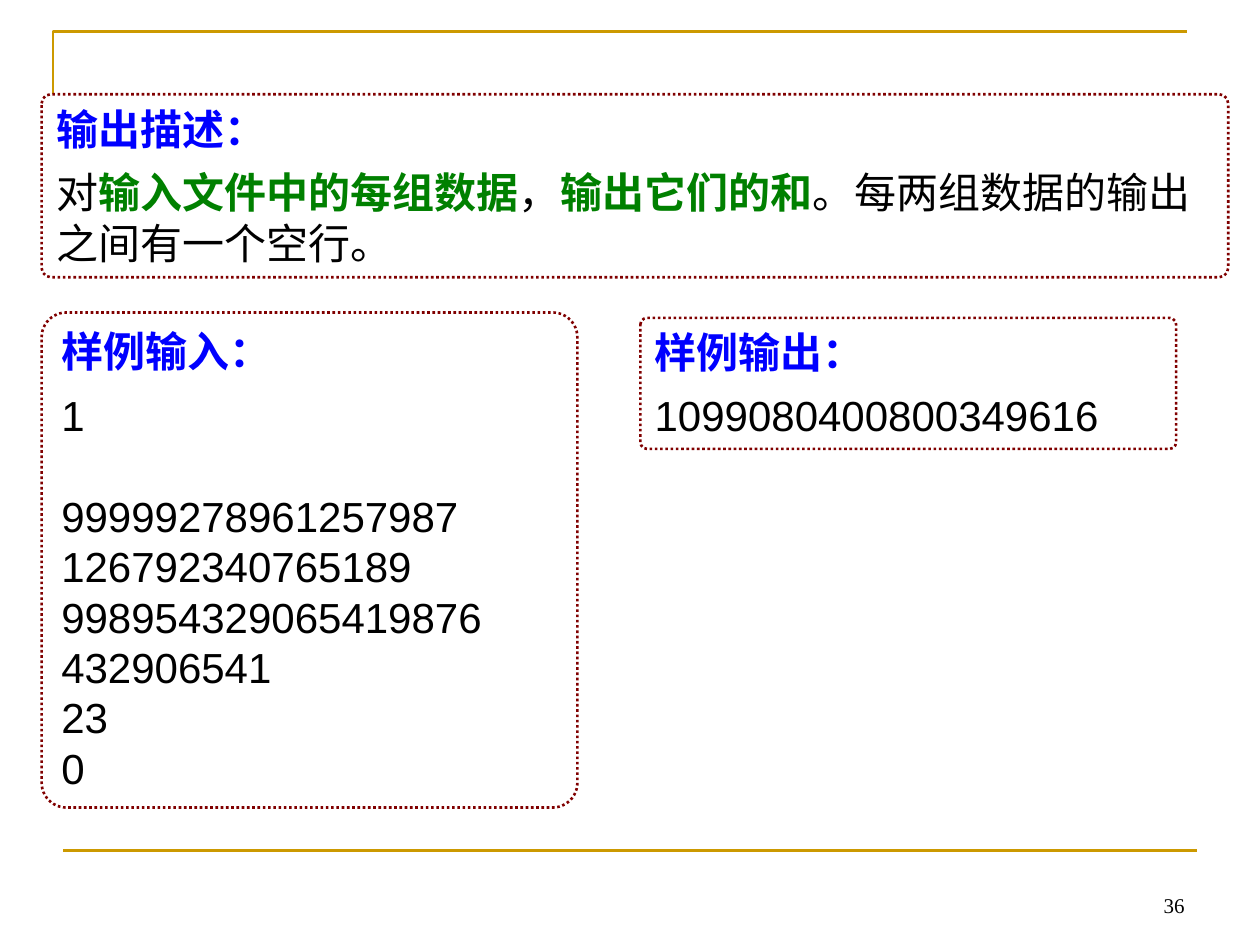
"""Builds a slide with the output description and samples of an addition task."""
from dataclasses import dataclass

from lxml.etree import SubElement
from pptx import Presentation
from pptx.dml.color import RGBColor
from pptx.enum.dml import MSO_LINE_DASH_STYLE as Dash
from pptx.enum.shapes import MSO_CONNECTOR as Connector, MSO_SHAPE as Shape
from pptx.enum.text import MSO_ANCHOR as Anchor, MSO_AUTO_SIZE as AutoSize, PP_ALIGN as Align
from pptx.oxml.ns import qn
from pptx.util import Cm, Pt

BLUE, GREEN, BLACK = "0000FF", "008000", "000000"
MAROON, GOLD, WHITE = "800000", "CC9900", "FFFFFF"
HEADING_GAP, LINE_PITCH = 7.5, 28.8
BODY_FONT = {"name": "Arial", "size": Pt(24)}
NUMBER_FONT = {"name": "Times New Roman", "size": Pt(12), "bold": False}


@dataclass(frozen=True)
class Span:
    text: str
    color: str = BLACK
    bold: bool = False


@dataclass(frozen=True)
class Line:
    spans: tuple[Span, ...]
    gap: float = 0


@dataclass(frozen=True)
class Panel:
    left: float
    top: float
    width: float
    height: float
    lines: tuple[Line, ...]


def rgb(value: str) -> RGBColor:
    return RGBColor.from_string(value)


def apply(target, values: dict) -> None:
    for name, value in values.items():
        setattr(target, name, value)


def heading(text: str) -> Line:
    return Line((Span(text, BLUE, True),), HEADING_GAP)


def plain(text: str, gap: float = 0) -> Line:
    return Line((Span(text),), gap)


def style_rule(rule) -> None:
    rule.line.color.rgb = rgb(GOLD)
    rule.line.width = Pt(1.5)


def add_span(paragraph, span: Span, font: dict) -> None:
    run = paragraph.add_run()
    run.text = span.text
    apply(run.font, {"bold": span.bold, **font})
    run.font.color.rgb = rgb(span.color)


def draw_frame(slide) -> None:
    left, top = Cm(1.07), Cm(0.64)
    builder = slide.shapes.build_freeform(left, Cm(2.34))
    builder.add_line_segments([(left, top), (Cm(23.93), top)], close=False)
    corner = builder.convert_to_shape()
    corner.fill.background()
    corner.shadow.inherit = False
    base = slide.shapes.add_connector(Connector.STRAIGHT, Cm(1.27), Cm(17.15), Cm(24.13), Cm(17.15))
    SubElement(base._element.spPr, qn("a:effectLst"))
    for rule in (corner, base):
        style_rule(rule)


def draw_panel(slide, panel: Panel) -> None:
    box = slide.shapes.add_shape(Shape.ROUNDED_RECTANGLE, Cm(panel.left), Cm(panel.top),
                                 Cm(panel.width), Cm(panel.height))
    box.adjustments[0] = 0.05
    box.shadow.inherit = False
    box.fill.solid()
    box.fill.fore_color.rgb = rgb(WHITE)
    box.line.color.rgb = rgb(MAROON)
    apply(box.line, {"width": Pt(1.5), "dash_style": Dash.ROUND_DOT})
    frame = box.text_frame
    apply(frame, {"word_wrap": True, "vertical_anchor": Anchor.TOP,
                  "auto_size": AutoSize.SHAPE_TO_FIT_TEXT})
    for index, line in enumerate(panel.lines):
        paragraph = frame.add_paragraph() if index else frame.paragraphs[0]
        apply(paragraph, {"alignment": Align.LEFT, "line_spacing": Pt(LINE_PITCH),
                          "space_after": Pt(line.gap)})
        for span in line.spans:
            add_span(paragraph, span, BODY_FONT)


def draw_page_number(slide, number: str) -> None:
    frame = slide.shapes.add_textbox(Cm(18.21), Cm(17.35), Cm(5.92), Cm(1.27)).text_frame
    apply(frame, {"word_wrap": True, "vertical_anchor": Anchor.BOTTOM})
    frame.paragraphs[0].alignment = Align.RIGHT
    add_span(frame.paragraphs[0], Span(number), NUMBER_FONT)


DESCRIPTION = Line((
    Span("对"),
    Span("输入文件中的每组数据", GREEN, True),
    Span("，"),
    Span("输出它们的和", GREEN, True),
    Span("。每两组数据的输出之间有一个空行。"),
), HEADING_GAP)
ADDENDS = ("99999278961257987", "126792340765189", "998954329065419876", "432906541", "23", "0")
PANELS = (
    Panel(0.84, 1.9, 23.92, 3.69, (heading("输出描述："), DESCRIPTION)),
    Panel(0.84, 6.3, 10.8, 9.98,
          (heading("样例输入："), plain("1", LINE_PITCH), *map(plain, ADDENDS))),
    Panel(12.91, 6.41, 10.8, 2.64, (heading("样例输出："), plain("1099080400800349616"))),
)


def main() -> None:
    deck = Presentation()
    apply(deck, {"slide_width": Cm(25.4), "slide_height": Cm(19.05)})
    slide = deck.slides.add_slide(deck.slide_layouts[6])
    draw_frame(slide)
    for panel in PANELS:
        draw_panel(slide, panel)
    draw_page_number(slide, "36")
    deck.save("out.pptx")


if __name__ == "__main__":
    main()
